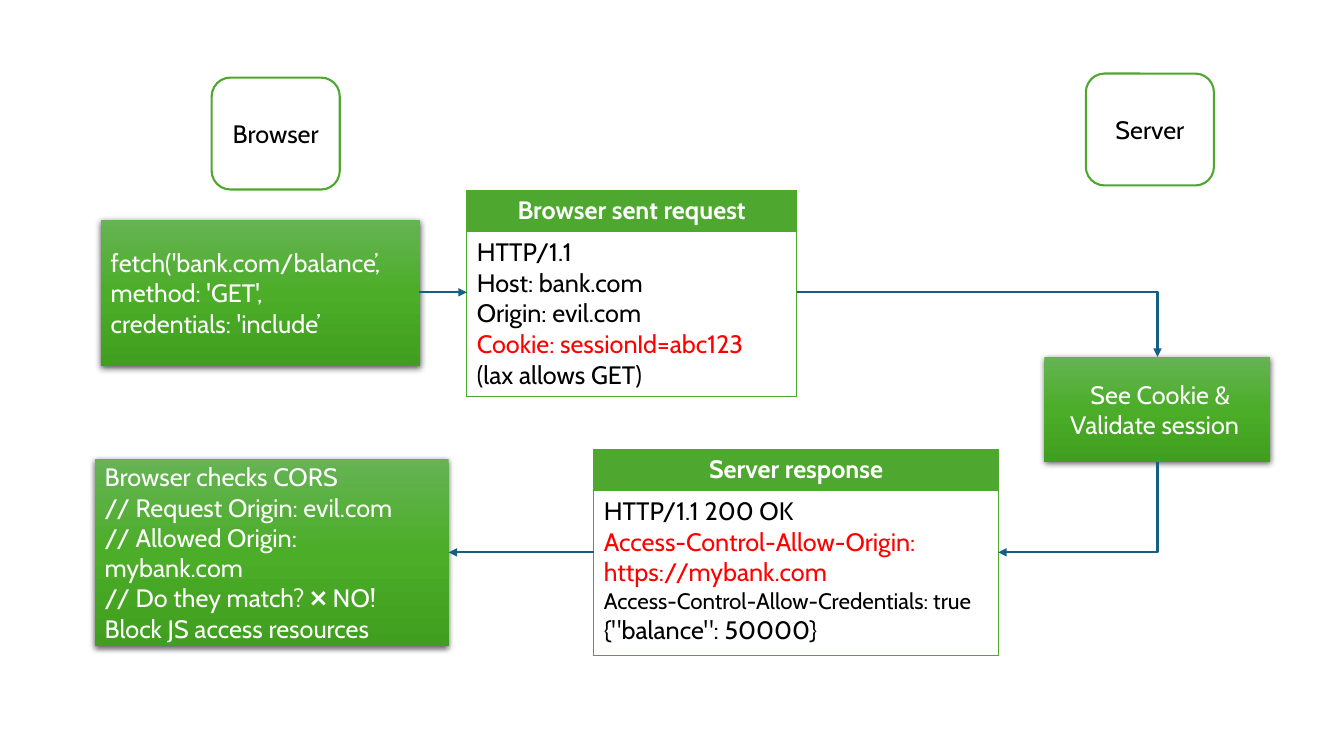
import copy

import pptx
import pptx.dml.color
import pptx.enum.shapes
import pptx.enum.text
import pptx.oxml.ns
import pptx.util
from lxml import etree

Inches = pptx.util.Inches
Pt = pptx.util.Pt
RGBColor = pptx.dml.color.RGBColor
qn = pptx.oxml.ns.qn
SHAPE = pptx.enum.shapes.MSO_SHAPE
LINK = pptx.enum.shapes.MSO_CONNECTOR
ALIGN = pptx.enum.text.PP_ALIGN
MIDDLE = pptx.enum.text.MSO_ANCHOR.MIDDLE

GREEN = RGBColor(0x4E, 0xA7, 0x2E)
BLUE = RGBColor(0x15, 0x60, 0x82)
RED = RGBColor(0xFF, 0x00, 0x00)
BLACK = RGBColor(0x00, 0x00, 0x00)
WHITE = RGBColor(0xFF, 0xFF, 0xFF)
SHADES = [
    (0, RGBColor(0x66, 0xB3, 0x54)),
    (0.5, RGBColor(0x4B, 0xAD, 0x28)),
    (1, RGBColor(0x40, 0x9F, 0x1E)),
]
FONT = {"name": "Cabin", "size": Pt(18), "bold": False}


def write(frame, lines, color, align=ALIGN.LEFT):
    """Fill a text frame; a line is a string or a (string, format) pair."""
    frame.word_wrap = True
    for i, line in enumerate(lines):
        text, extra = (line, {}) if isinstance(line, str) else line
        para = frame.paragraphs[0] if i == 0 else frame.add_paragraph()
        para.alignment = align
        run = para.add_run()
        run.text = text
        look = {**FONT, "color": color, **extra}
        run.font.color.rgb = look.pop("color")
        for key, value in look.items():
            setattr(run.font, key, value)


def add_box(slide, kind, place, lines, color, align):
    box = slide.shapes.add_shape(kind, *map(Inches, place))
    box.shadow.inherit = False
    box.text_frame.vertical_anchor = MIDDLE
    write(box.text_frame, lines, color, align)
    return box


def add_actor(slide, left, top, name):
    box = add_box(slide, SHAPE.ROUNDED_RECTANGLE, (left, top, 1.27, 1.11),
                  [name], BLACK, ALIGN.CENTER)
    box.fill.solid()
    box.fill.fore_color.rgb = WHITE
    box.line.color.rgb = GREEN
    box.line.width = Pt(1.5)


def add_step(slide, place, lines, align=ALIGN.LEFT):
    box = add_box(slide, SHAPE.RECTANGLE, place, lines, WHITE, align)
    box.line.fill.background()

    # Three-stop gradient, running downwards
    box.fill.gradient()
    box.fill.gradient_angle = 270
    props = box._element.spPr
    stops = props.find(".//" + qn("a:gsLst"))
    stops.append(copy.deepcopy(stops[0]))
    for stop, (pos, shade) in zip(box.fill.gradient_stops, SHADES):
        stop.position = pos
        stop.color.rgb = shade

    # Soft shadow below
    glow = etree.SubElement(
        props.find(qn("a:effectLst")), qn("a:outerShdw"),
        blurRad=str(Pt(4.5)), dist=str(Pt(1.5)), dir="5400000",
        algn="ctr", rotWithShape="0")
    tint = etree.SubElement(glow, qn("a:srgbClr"), val=str(BLACK))
    etree.SubElement(tint, qn("a:alpha"), val="63000")


def add_border(cell):
    props = cell._tc.get_or_add_tcPr()
    for side in ("lnL", "lnR", "lnT", "lnB"):
        edge = etree.SubElement(props, qn("a:" + side), w=str(Pt(1)))
        fill = etree.SubElement(edge, qn("a:solidFill"))
        etree.SubElement(fill, qn("a:srgbClr"), val=str(GREEN))


def add_message(slide, left, top, width, title, lines):
    heights = (0.41, 1.63)
    place = (left, top, width, sum(heights))
    table = slide.shapes.add_table(2, 1, *map(Inches, place)).table
    table.horz_banding = False
    for row, height in zip(table.rows, heights):
        row.height = Inches(height)
        add_border(row.cells[0])
    head, body = table.cell(0, 0), table.cell(1, 0)
    head.fill.solid()
    head.fill.fore_color.rgb = GREEN
    body.fill.background()
    write(head.text_frame, [(title, {"bold": True})], WHITE, ALIGN.CENTER)
    write(body.text_frame, lines, BLACK)


def add_arrow(slide, ends, bent=False, turn=0):
    kind = LINK.ELBOW if bent else LINK.STRAIGHT
    arrow = slide.shapes.add_connector(kind, *map(Inches, ends))
    arrow.line.color.rgb = BLUE
    arrow.line.width = Pt(1.5)
    props = arrow._element.spPr
    if bent:
        props.find(qn("a:prstGeom")).set("prst", "bentConnector2")
        props.find(qn("a:xfrm")).set("rot", str(turn * 60000))
    etree.SubElement(props.find(qn("a:ln")), qn("a:tailEnd"), type="triangle")
    etree.SubElement(props, qn("a:effectLst"))


def main():
    deck = pptx.Presentation()
    deck.slide_width, deck.slide_height = Inches(13.33), Inches(7.5)
    slide = deck.slides.add_slide(deck.slide_layouts[6])

    # The two sides
    add_actor(slide, 2.1, 0.77, "Browser")
    add_actor(slide, 10.77, 0.73, "Server")

    # Messages between them
    add_message(slide, 4.63, 1.89, 3.27, "Browser sent request", [
        "HTTP/1.1",
        "Host: bank.com",
        "Origin: evil.com",
        ("Cookie: sessionId=abc123", {"color": RED}),
        "(lax allows GET)",
    ])
    add_message(slide, 5.89, 4.46, 4.01, "Server response", [
        "HTTP/1.1 200 OK",
        ("Access-Control-Allow-Origin: https://mybank.com", {"color": RED}),
        ("Access-Control-Allow-Credentials: true", {"size": Pt(16)}),
        '{"balance": 50000}',
    ])

    # Steps on each side
    add_step(slide, (10.36, 3.54, 2.24, 1.04),
             [" See Cookie &", "Validate session "], ALIGN.CENTER)
    add_step(slide, (1, 2.18, 3.17, 1.45), [
        "fetch('bank.com/balance’, method: 'GET',",
        "credentials: 'include’",
    ])
    add_step(slide, (0.94, 4.55, 3.51, 1.86), [
        "Browser checks CORS",
        "// Request Origin: evil.com",
        "// Allowed Origin: mybank.com",
        "// Do they match? ❌ NO!",
        "Block JS access resources",
    ])

    # Flow; the last bend is a box turned about its centre
    add_arrow(slide, (4.16, 2.9, 4.63, 2.9))
    add_arrow(slide, (5.89, 5.48, 4.45, 5.48))
    add_arrow(slide, (7.9, 2.9, 11.48, 3.54), bent=True)
    add_arrow(slide, (10.24, 4.24, 11.14, 5.82), bent=True, turn=90)

    deck.save("out.pptx")


if __name__ == "__main__":
    main()
